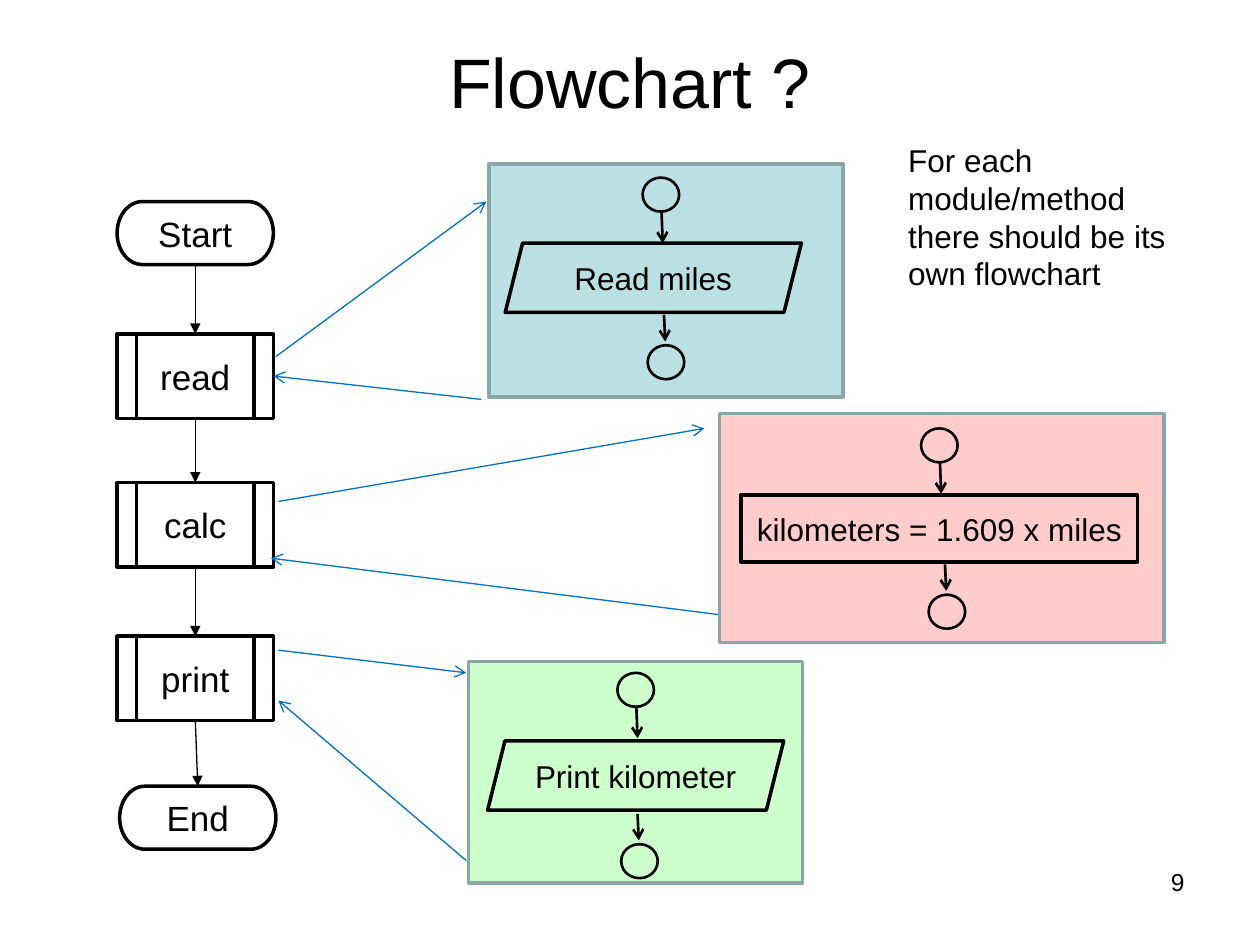
from itertools import pairwise

from pptx import Presentation
from pptx.dml.color import RGBColor
from pptx.enum.shapes import MSO_CONNECTOR, MSO_SHAPE
from pptx.enum.text import MSO_ANCHOR, PP_ALIGN
from pptx.oxml.ns import qn
from pptx.util import Inches, Pt
from lxml.etree import SubElement

BLACK, BLUE, BORDER = "000000", "0070C0", "8AA6A8"


def color(value):
    """Turn a hex string into a colour."""
    return RGBColor.from_string(value)


def write_text(shape, text, size, alignment=PP_ALIGN.CENTER, anchor=MSO_ANCHOR.MIDDLE):
    """Write one formatted paragraph into a shape."""
    frame = shape.text_frame
    frame.word_wrap = True
    frame.vertical_anchor = anchor
    paragraph = frame.paragraphs[0]
    paragraph.text = text
    paragraph.alignment = alignment
    for name, value in {"name": "Arial", "size": Pt(size)}.items():
        setattr(paragraph.font, name, value)
    paragraph.font.color.rgb = color(BLACK)


def add_box(slide, kind, box, fill=None, line=BLACK, width=2, text=None, size=18):
    """Add an outlined preset shape with optional fill and text."""
    shape = slide.shapes.add_shape(kind, *map(Inches, box))
    shape.shadow.inherit = False
    if fill:
        shape.fill.solid()
        shape.fill.fore_color.rgb = color(fill)
    else:
        shape.fill.background()
    shape.line.color.rgb = color(line)
    shape.line.width = Pt(width)
    if text:
        write_text(shape, text, size)
    return shape


def add_arrow(slide, start, end, line=BLACK, width=0.75, head="arrow"):
    """Add a straight connector with an arrowhead at its end."""
    connector = slide.shapes.add_connector(
        MSO_CONNECTOR.STRAIGHT, *map(Inches, (*start, *end)))
    connector.line.color.rgb = color(line)
    connector.line.width = Pt(width)
    properties = connector._element.spPr
    SubElement(properties.find(qn("a:ln")), qn("a:tailEnd"), type=head)
    SubElement(properties, qn("a:effectLst"))
    return connector


def add_title(slide, box, text):
    """Place the title placeholder in its box."""
    title = slide.shapes.title
    for name, value in zip(("left", "top", "width", "height"), box):
        setattr(title, name, Inches(value))
    write_text(title, text, 40)


def add_note(slide, box, text, size, alignment):
    """Add a free text box."""
    note = slide.shapes.add_textbox(*map(Inches, box))
    write_text(note, text, size, alignment, MSO_ANCHOR.TOP)


def add_main_flow(slide, left, top):
    """Stack the main steps, join them in order and return them by name."""
    terminator = MSO_SHAPE.FLOWCHART_TERMINATOR
    process = MSO_SHAPE.FLOWCHART_PREDEFINED_PROCESS
    steps = [
        ("Start", terminator, 0, 0, 0.5),
        ("read", process, 0, 1.05, 0.67),
        ("calc", process, 0, 2.23, 0.67),
        ("print", process, 0, 3.45, 0.67),
        ("End", terminator, 0.02, 4.64, 0.5),
    ]
    shapes = {
        name: add_box(slide, kind, (left + x, top + y, 1.24, height), text=name, size=20)
        for name, kind, x, y, height in steps
    }
    for upper, lower in pairwise(shapes.values()):
        connector = add_arrow(slide, (left, top), (left, top), head="triangle")
        connector.begin_connect(upper, 2)
        connector.end_connect(lower, 0)
    return shapes


def add_calls(slide, steps):
    """Draw the call and return arrows between main steps and modules."""
    calls = [
        ((2.19, 2.83), (3.86, 1.6), None),
        ((3.82, 3.17), (2.17, 2.99), "read"),
        ((2.21, 3.98), (5.59, 3.4), None),
        ((5.8, 4.89), (2.15, 4.43), None),
        ((2.21, 5.16), (3.7, 5.34), None),
        ((3.7, 6.83), (2.21, 5.56), None),
    ]
    for start, end, target in calls:
        connector = add_arrow(slide, start, end, BLUE)
        if target:
            connector.end_connect(steps[target], 3)


def add_module(slide, box, fill, kind, step, text, entry, leave):
    """Draw a module panel with its entry circle, step and exit circle."""
    left, top = box[:2]
    add_box(slide, MSO_SHAPE.RECTANGLE, box, fill, BORDER)
    x, y, width, height = step
    add_box(slide, kind, (left + x, top + y, width, height), fill, text=text)
    for x, y in (entry, leave):
        add_box(slide, MSO_SHAPE.OVAL, (left + x, top + y, 0.29, 0.27), fill, width=1.5)
    x, y = left + entry[0], top + entry[1]
    add_arrow(slide, (x + 0.15, y + 0.26), (x + 0.16, y + 0.52), width=1.5)
    x, y = left + leave[0], top + leave[1]
    add_arrow(slide, (x + 0.13, y - 0.24), (x + 0.14, y - 0.03), width=1.5)


def main():
    """Build the flowchart slide and save it."""
    presentation = Presentation()
    presentation.slide_width = Inches(10)
    presentation.slide_height = Inches(7.5)
    slide = presentation.slides.add_slide(presentation.slide_layouts[5])
    add_title(slide, (0.5, 0.3, 9, 0.68), "Flowchart ?")
    add_note(slide, (7.17, 6.83, 2.33, 0.52), "9", 14, PP_ALIGN.RIGHT)
    steps = add_main_flow(slide, 0.93, 1.6)
    add_calls(slide, steps)
    add_module(slide, (3.88, 1.3, 2.81, 1.85), "BBE0E3", MSO_SHAPE.PARALLELOGRAM,
               (0.13, 0.63, 2.35, 0.55), "Read miles", (1.22, 0.11), (1.26, 1.44))
    add_module(slide, (3.72, 5.25, 2.65, 1.76), "CCFFCC", MSO_SHAPE.PARALLELOGRAM,
               (0.15, 0.63, 2.35, 0.55), "Print kilometer", (1.18, 0.09), (1.21, 1.45))
    add_module(slide, (5.71, 3.28, 3.53, 1.82), "FFCCCC", MSO_SHAPE.RECTANGLE,
               (0.17, 0.65, 3.15, 0.53), "kilometers = 1.609 x miles", (1.6, 0.12), (1.66, 1.44))
    add_note(slide, (7.11, 1.07, 2.33, 1.31),
             "For each module/method there should be its own flowchart", 18, PP_ALIGN.LEFT)
    presentation.save("out.pptx")


if __name__ == "__main__":
    main()
